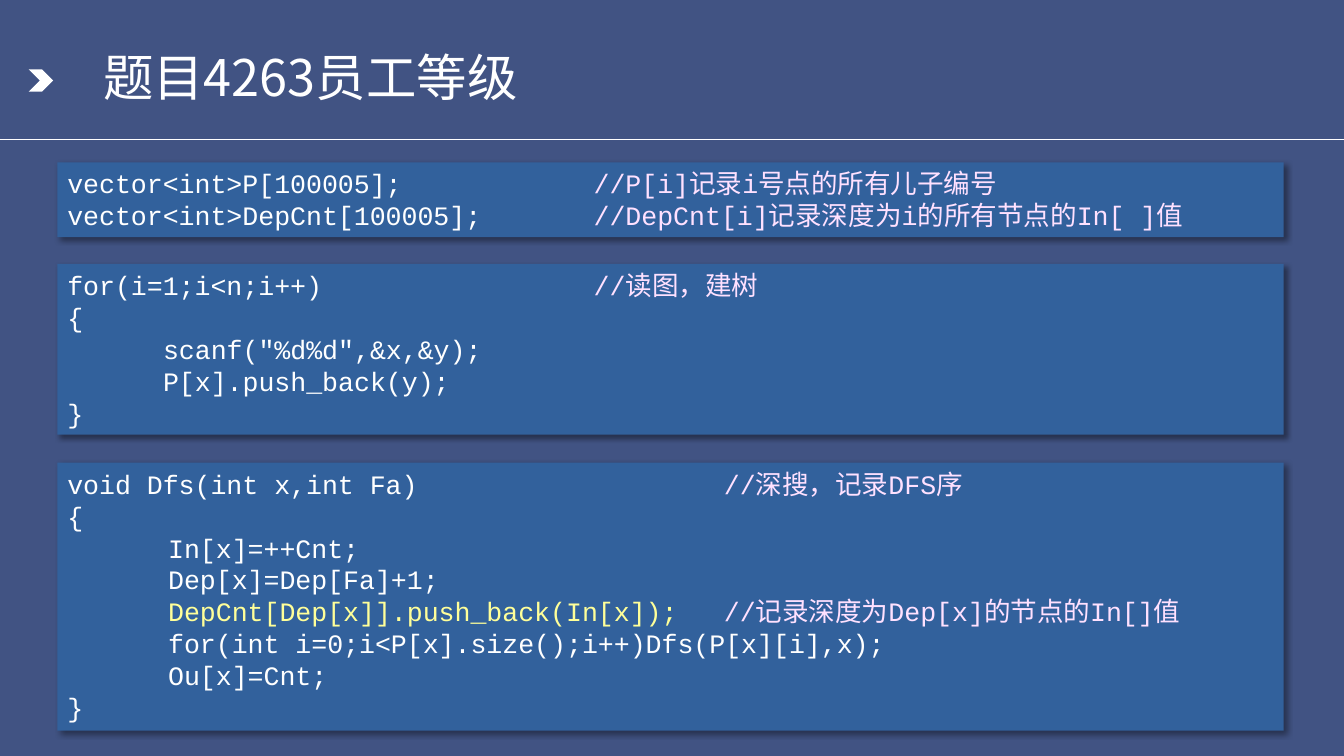
"""Build a slide with three commented code blocks under a title."""
from lxml.etree import SubElement
from pptx import Presentation
from pptx.dml.color import RGBColor
from pptx.enum.shapes import MSO_CONNECTOR, MSO_SHAPE
from pptx.enum.text import MSO_ANCHOR, PP_ALIGN
from pptx.oxml.ns import qn
from pptx.util import Pt

BACKGROUND = RGBColor(0x41, 0x53, 0x83)
PANEL = RGBColor(0x32, 0x61, 0x9C)
WHITE = RGBColor(0xFF, 0xFF, 0xFF)
BLACK = RGBColor(0x00, 0x00, 0x00)
COMMENT = RGBColor(0xFF, 0xE1, 0xFF)
HIGHLIGHT = RGBColor(0xFF, 0xFF, 0x99)

SLIDE_WIDTH, SLIDE_HEIGHT = 960, 540
PANEL_LEFT, PANEL_WIDTH = 41, 876

DECLARATIONS = [
    ("vector<int>P[100005];", "//P[i]记录i号点的所有儿子编号"),
    ("vector<int>DepCnt[100005];", "//DepCnt[i]记录深度为i的所有节点的In[ ]值"),
]
READ_TREE = [
    ("for(i=1;i<n;i++)", "//读图，建树"),
    ("{",),
    ('\tscanf("%d%d",&x,&y);',),
    ("\tP[x].push_back(y);",),
    ("}",),
]
DEPTH_SEARCH = [
    ("void Dfs(int x,int Fa)", "//深搜，记录DFS序"),
    ("{",),
    ("\tIn[x]=++Cnt;",),
    ("\tDep[x]=Dep[Fa]+1;",),
    ("\tDepCnt[Dep[x]].push_back(In[x]);", "//记录深度为Dep[x]的节点的In[]值", HIGHLIGHT),
    ("\tfor(int i=0;i<P[x].size();i++)Dfs(P[x][i],x);",),
    ("\tOu[x]=Cnt;",),
    ("}",),
]


def apply(target, values):
    for name, value in values.items():
        setattr(target, name, value)


class CodeSlide:
    title_font = {"name": "Noto Sans CJK SC", "size": Pt(36)}
    code_font = {"name": "Courier New", "size": Pt(19)}
    east_asian_font = "Noto Sans CJK SC"

    def __init__(self, presentation):
        self.slide = presentation.slides.add_slide(presentation.slide_layouts[5])
        fill = self.slide.background.fill
        fill.solid()
        fill.fore_color.rgb = BACKGROUND

    def run(self, paragraph, text, font, color):
        run = paragraph.add_run()
        run.text = text
        apply(run.font, font)
        run.font.color.rgb = color
        SubElement(run.font._element, qn("a:ea"), typeface=self.east_asian_font)

    def title(self, text, left, top, width, height):
        title = self.slide.shapes.title
        apply(title, {"left": Pt(left), "top": Pt(top), "width": Pt(width), "height": Pt(height)})
        apply(title.text_frame, {"vertical_anchor": MSO_ANCHOR.MIDDLE, "word_wrap": True})
        paragraph = title.text_frame.paragraphs[0]
        apply(paragraph, {"alignment": PP_ALIGN.LEFT, "line_spacing": 0.9})
        self.run(paragraph, text, self.title_font, WHITE)

    def rule(self, top):
        line = self.slide.shapes.add_connector(
            MSO_CONNECTOR.STRAIGHT, 0, Pt(top), Pt(SLIDE_WIDTH), Pt(top))
        line.line.color.rgb = WHITE
        line.line.width = Pt(0.75)
        SubElement(line._element.spPr, qn("a:effectLst"))

    def shape(self, kind, left, top, width, height, color):
        shape = self.slide.shapes.add_shape(kind, Pt(left), Pt(top), Pt(width), Pt(height))
        shape.fill.solid()
        shape.fill.fore_color.rgb = color
        shape.line.fill.background()
        shape.shadow.inherit = False
        return shape

    def drop_shadow(self, shape):
        effects = shape._element.spPr.find(qn("a:effectLst"))
        shadow = SubElement(effects, qn("a:outerShdw"), blurRad=str(Pt(4)), dist=str(Pt(3)),
                            dir="2700000", algn="tl", rotWithShape="0")
        color = SubElement(shadow, qn("a:srgbClr"), val=str(BLACK))
        SubElement(color, qn("a:alpha"), val="40000")

    def tab_stops(self, paragraph, stops):
        tabs = SubElement(paragraph._p.get_or_add_pPr(), qn("a:tabLst"))
        for stop in stops:
            SubElement(tabs, qn("a:tab"), pos=str(Pt(stop)), algn="l")

    def code(self, lines, top, height, stops):
        panel = self.shape(MSO_SHAPE.RECTANGLE, PANEL_LEFT, top, PANEL_WIDTH, height, PANEL)
        self.drop_shadow(panel)
        frame = panel.text_frame
        apply(frame, {"vertical_anchor": MSO_ANCHOR.TOP, "word_wrap": True})
        for index, (code, *details) in enumerate(lines):
            paragraph = frame.add_paragraph() if index else frame.paragraphs[0]
            paragraph.alignment = PP_ALIGN.LEFT
            self.tab_stops(paragraph, stops)
            color = details[1] if len(details) > 1 else WHITE
            self.run(paragraph, code, self.code_font, color)
            if details:
                self.run(paragraph, "\t" + details[0], self.code_font, COMMENT)


presentation = Presentation()
apply(presentation, {"slide_width": Pt(SLIDE_WIDTH), "slide_height": Pt(SLIDE_HEIGHT)})
page = CodeSlide(presentation)
page.rule(100)
page.shape(MSO_SHAPE.CHEVRON, 20.5, 49.5, 17.5, 16, WHITE)
page.title("题目4263员工等级", 66.5, 29, 828, 57)
page.code(DECLARATIONS, 116, 53.5, (68.4, 376))
page.code(READ_TREE, 188.5, 122, (68.4, 376))
page.code(DEPTH_SEARCH, 330.5, 191.5, (72, 469))
presentation.save("out.pptx")
